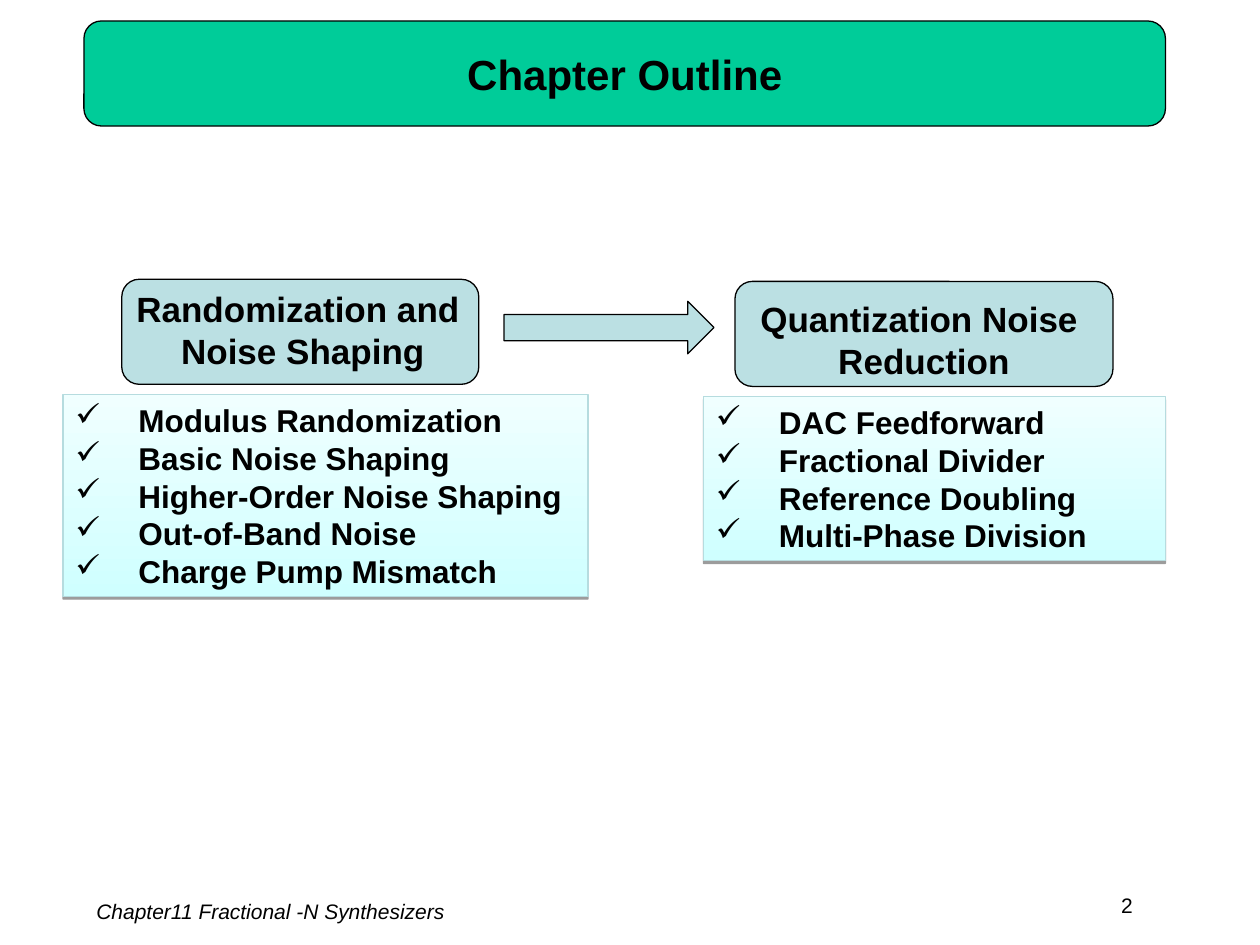
"""Build the chapter outline slide: two topics joined by an arrow, each with a checklist."""
from lxml import etree
from pptx import Presentation
from pptx.dml.color import RGBColor
from pptx.enum.shapes import MSO_SHAPE
from pptx.enum.text import MSO_ANCHOR, PP_ALIGN
from pptx.oxml import parse_xml
from pptx.oxml.ns import nsdecls, qn
from pptx.util import Inches, Pt

ROUNDED, ARROW, RECTANGLE = MSO_SHAPE.ROUNDED_RECTANGLE, MSO_SHAPE.RIGHT_ARROW, MSO_SHAPE.RECTANGLE
LEFT, CENTER, RIGHT = PP_ALIGN.LEFT, PP_ALIGN.CENTER, PP_ALIGN.RIGHT
TOP, MIDDLE = MSO_ANCHOR.TOP, MSO_ANCHOR.MIDDLE
COLORS = {"ink": "000000", "band": "00CC99", "topic": "BBE0E3",
          "list_line": "B6DCDF", "list_bottom": "CFFFFF", "list_top": "F0FFFF"}
COLORS = {name: RGBColor.from_string(value) for name, value in COLORS.items()}
FONT = "Arial"

deck = Presentation()
deck.slide_width, deck.slide_height = Inches(10), Inches(7.5)
COLUMN, ROW = deck.slide_width / 120, deck.slide_height / 90
page = deck.slides.add_slide(deck.slide_layouts[5])


def add_box(kind, left, top, width, height, fill=None, line="ink"):
    place = [round(left * COLUMN), round(top * ROW), round(width * COLUMN), round(height * ROW)]
    if kind is None:
        return page.shapes.add_textbox(*place)
    box = page.shapes.add_shape(kind, *place)
    box.shadow.inherit = False
    if fill:
        box.fill.solid()
        box.fill.fore_color.rgb = COLORS[fill]
    box.line.color.rgb = COLORS[line]
    box.line.width = Pt(0.75)
    return box


def write(box, text, size, align=LEFT, anchor=TOP, wrap=True, bold=True, italic=False):
    frame = box.text_frame
    frame.text = text
    frame.word_wrap = wrap
    frame.vertical_anchor = anchor
    for para in frame.paragraphs:
        para.alignment = align
        for span in para.runs:
            span.font.name, span.font.size = FONT, Pt(size)
            span.font.bold, span.font.italic = bold, italic
            span.font.color.rgb = COLORS["ink"]


title = page.shapes.title
title.left, title.top = round(8 * COLUMN), round(2 * ROW)
title.width, title.height = round(103 * COLUMN), round(10 * ROW)
write(title, "Chapter Outline", 24, CENTER, MIDDLE)
band = add_box(ROUNDED, 8, 2, 103, 10, "band")
title._element.addprevious(band._element)

write(add_box(None, 8, 85, 38, 3.6), "Chapter11 Fractional -N Synthesizers", 12, bold=False, italic=True)
number = add_box(None, 79, 84.4, 38, 3.6)
write(number, "2", 12, RIGHT, bold=False)
number.text_frame.margin_right = Inches(0.76)

topics = [
    ((11.6, 26.6, 34, 10), (11.8, 26.8, 34.1, 9.2), "Randomization and \nNoise Shaping",
     (6, 37.6, 50, 19.2),
     ["Modulus Randomization", "Basic Noise Shaping", "Higher-Order Noise Shaping",
      "Out-of-Band Noise", "Charge Pump Mismatch"]),
    ((70, 26.8, 36, 10), (71.2, 27.7, 33.6, 9.2), "Quantization Noise \nReduction",
     (67, 37.8, 44, 15.6),
     ["DAC Feedforward", "Fractional Divider", "Reference Doubling", "Multi-Phase Division"]),
]
for label_place, text_place, heading, list_place, items in topics:
    add_box(ROUNDED, *label_place, "topic")
    write(add_box(None, *text_place), heading, 20, CENTER, wrap=False)

    checklist = add_box(RECTANGLE, *list_place, line="list_line")
    checklist.fill.gradient()
    checklist.fill.gradient_angle = 90
    for stop, name in zip(checklist.fill.gradient_stops, ("list_bottom", "list_top")):
        stop.color.rgb = COLORS[name]
    effects = checklist._element.spPr.find(qn("a:effectLst"))
    effects.append(parse_xml(
        f'<a:outerShdw {nsdecls("a")} blurRad="0" dist="{Pt(1.6)}" dir="5400000" rotWithShape="0">'
        f'<a:srgbClr val="{COLORS["ink"]}"><a:alpha val="38000"/></a:srgbClr></a:outerShdw>'))
    write(checklist, "\n".join(items), 18)
    for para in checklist.text_frame.paragraphs:
        properties = para._p.get_or_add_pPr()
        properties.set("marL", str(Inches(0.5)))
        properties.set("indent", str(-Inches(0.5)))
        bullet_color = etree.SubElement(properties, qn("a:buClr"))
        etree.SubElement(bullet_color, qn("a:srgbClr"), val=str(COLORS["ink"]))
        etree.SubElement(properties, qn("a:buChar"), char="✓")

add_box(ARROW, 48, 28.7, 20, 5, "topic")

deck.save("out.pptx")
